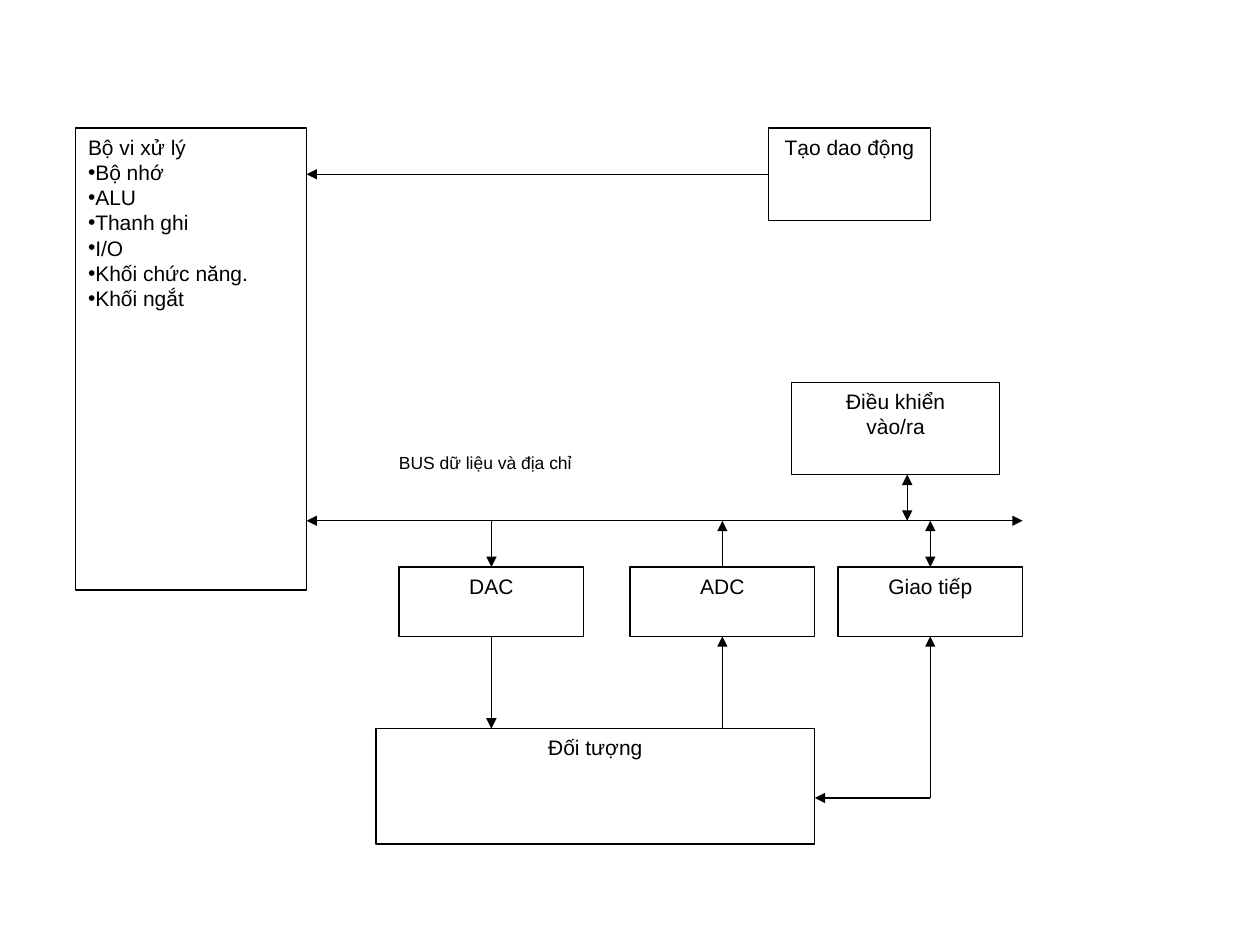
from lxml.etree import SubElement
from pptx import Presentation
from pptx.dml.color import RGBColor
from pptx.enum.shapes import MSO_CONNECTOR as CONNECTOR, MSO_SHAPE as SHAPE
from pptx.enum.text import MSO_ANCHOR as ANCHOR, PP_ALIGN as ALIGN
from pptx.oxml.ns import qn
from pptx.util import Pt

BLACK = RGBColor(0x00, 0x00, 0x00)
WHITE = RGBColor(0xFF, 0xFF, 0xFF)
FONT = "Arial"

# Everything sits on a square grid
LEFT, TOP, STEP = 43.2, 73.2, 13.2

prs = Presentation()
prs.slide_width, prs.slide_height = Pt(720), Pt(540)
slide = prs.slides.add_slide(prs.slide_layouts[6])
diagram = slide.shapes.add_group_shape().shapes


def grid_point(column, row):
    return Pt(round(LEFT + column * STEP, 2)), Pt(round(TOP + row * STEP, 2))


def add_block(column, row, columns, rows, lines, align, size=12):
    block = diagram.add_shape(SHAPE.RECTANGLE, *grid_point(column, row),
                              Pt(columns * STEP), Pt(rows * STEP))
    block.shadow.inherit = False
    block.fill.solid()
    block.fill.fore_color.rgb = WHITE
    block.line.color.rgb = BLACK
    block.line.width = Pt(0.75)
    frame = block.text_frame
    frame.word_wrap = True
    frame.vertical_anchor = ANCHOR.TOP
    frame.text = "\n".join(lines)
    for paragraph in frame.paragraphs:
        paragraph.alignment = align
        for run in paragraph.runs:
            for name, value in {"name": FONT, "size": Pt(size)}.items():
                setattr(run.font, name, value)
            run.font.color.rgb = BLACK
    return block


# Microprocessor with its bulleted parts
processor = add_block(0, 0, 10, 20, [
    "Bộ vi xử lý", "Bộ nhớ", "ALU", "Thanh ghi", "I/O",
    "Khối chức năng.", "Khối ngắt"], ALIGN.LEFT)
for number, part in enumerate(processor.text_frame.paragraphs):
    properties = part._p.get_or_add_pPr()
    if number > 0:
        SubElement(properties, qn("a:buFont"), typeface=FONT)
        SubElement(properties, qn("a:buChar"), char="•")
    tabs = SubElement(properties, qn("a:tabLst"))
    SubElement(tabs, qn("a:tab"), pos=str(Pt(18)), algn="l")

# Surrounding blocks: column, row, columns, rows, lines
for block in [
    (30, 0, 7, 4, ["Tạo dao động"]),
    (31, 11, 9, 4, ["Điều khiển", "vào/ra"]),
    (14, 19, 8, 3, ["DAC"]),
    (24, 19, 8, 3, ["ADC"]),
    (33, 19, 8, 3, ["Giao tiếp"]),
    (13, 26, 19, 5, ["Đối tượng"]),
]:
    add_block(*block, ALIGN.CENTER)

# Bus label
bus_label = add_block(14, 14, 15, 2, ["BUS dữ liệu và địa chỉ"], ALIGN.LEFT, 10)
bus_label.line.fill.background()
for side in ("left", "top", "right", "bottom"):
    setattr(bus_label.text_frame, f"margin_{side}", 0)

# Arrows: start, end, arrowheads at start (headEnd) and end (tailEnd)
START, END = ["headEnd"], ["tailEnd"]
BOTH = START + END
for start, end, heads in [
    ((30, 2), (10, 2), END),      # oscillator to processor
    ((10, 17), (41, 17), BOTH),   # bus
    ((36, 15), (36, 17), BOTH),   # input/output control to bus
    ((18, 17), (18, 19), END),    # bus to DAC
    ((18, 22), (18, 26), END),    # DAC to object
    ((28, 19), (28, 17), END),    # ADC to bus
    ((28, 26), (28, 22), END),    # object to ADC
    ((37, 17), (37, 19), BOTH),   # bus to interface
    ((37, 22), (37, 29), START),  # interface to object, two legs
    ((37, 29), (32, 29), END),
]:
    arrow = diagram.add_connector(CONNECTOR.STRAIGHT,
                                  *grid_point(*start), *grid_point(*end))
    arrow.line.color.rgb = BLACK
    arrow.line.width = Pt(0.75)
    for head in heads:
        SubElement(arrow.line._get_or_add_ln(), qn(f"a:{head}"), type="triangle")
    SubElement(arrow._element.spPr, qn("a:effectLst"))

prs.save("out.pptx")
